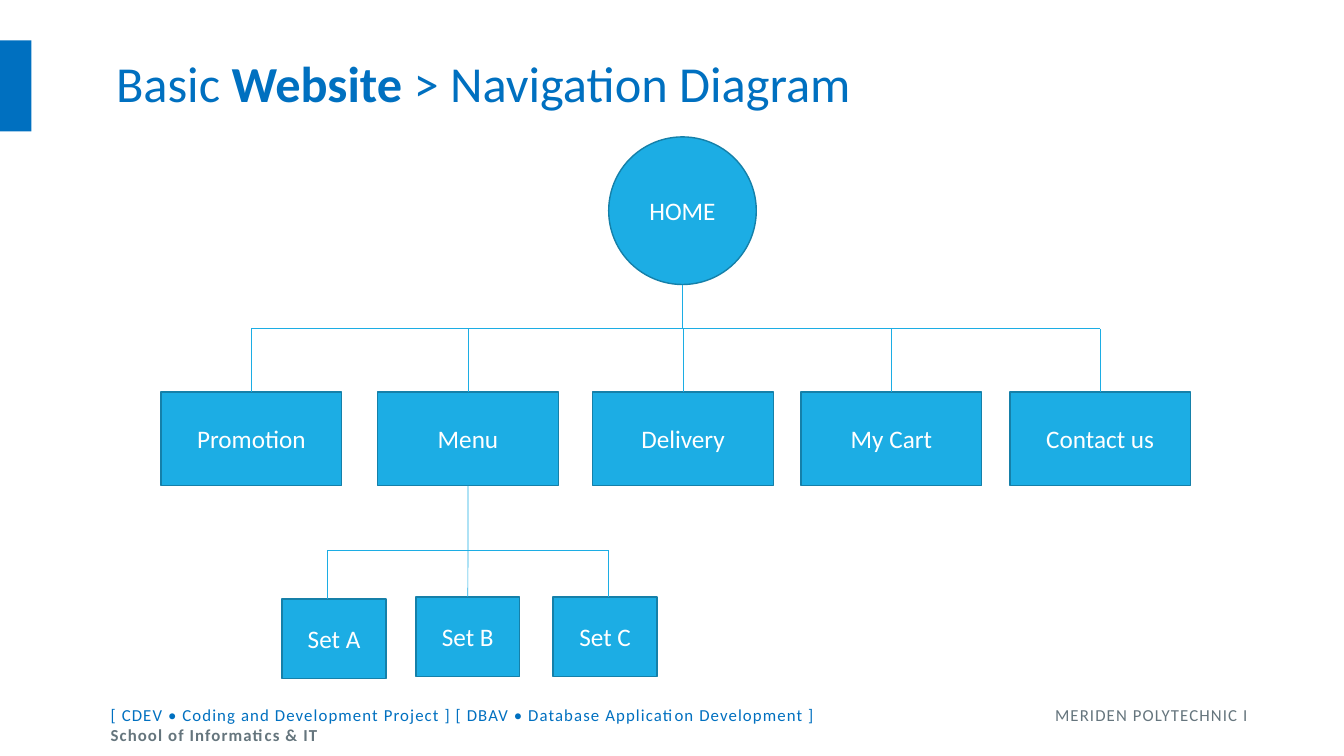
from lxml.etree import SubElement
from pptx import Presentation
from pptx.dml.color import RGBColor
from pptx.enum.shapes import MSO_CONNECTOR, MSO_SHAPE
from pptx.enum.text import MSO_ANCHOR, PP_ALIGN
from pptx.oxml.ns import qn
from pptx.util import Cm, Pt

COLORS = {
    "title": "0070C0",
    "node": "1CADE4",
    "border": "1580A9",
    "label": "FFFFFF",
    "footer": "65757D",
}


class Deck:
    font = "Calibri"

    def __init__(self):
        self.prs = Presentation()
        self.prs.slide_width = Cm(33.87)
        self.prs.slide_height = Cm(19.05)
        self.s = self.prs.slides.add_slide(self.prs.slide_layouts[5])

    def rgb(self, name):
        return RGBColor.from_string(COLORS[name])

    def style(self, r, size, color, bold=False):
        r.font.name = self.font
        r.font.size = Pt(size)
        r.font.bold = bold
        r.font.color.rgb = self.rgb(color)

    def title(self, parts, x, y, w, h):
        sp = self.s.shapes.title
        sp.left, sp.top, sp.width, sp.height = Cm(x), Cm(y), Cm(w), Cm(h)
        tf = sp.text_frame
        tf.word_wrap = True
        tf.vertical_anchor = MSO_ANCHOR.MIDDLE
        p = tf.paragraphs[0]
        p.alignment = PP_ALIGN.LEFT
        p.line_spacing = 0.9
        for text, bold in parts:
            r = p.add_run()
            r.text = text
            self.style(r, 36, "title", bold)

    def shape(self, x, y, w, h, fill, kind=MSO_SHAPE.RECTANGLE):
        sp = self.s.shapes.add_shape(kind, Cm(x), Cm(y), Cm(w), Cm(h))
        sp.shadow.inherit = False
        sp.fill.solid()
        sp.fill.fore_color.rgb = self.rgb(fill)
        sp.line.fill.background()
        return sp

    def node(self, text, x, y, w, h, kind=MSO_SHAPE.RECTANGLE):
        sp = self.shape(x, y, w, h, "node", kind)
        sp.line.color.rgb = self.rgb("border")
        sp.line.width = Pt(1)
        tf = sp.text_frame
        tf.text = text
        tf.vertical_anchor = MSO_ANCHOR.MIDDLE
        p = tf.paragraphs[0]
        p.alignment = PP_ALIGN.CENTER
        self.style(p.runs[0], 18, "label")
        return sp

    def line(self, x1, y1, x2, y2, start=None, end=None):
        c = self.s.shapes.add_connector(
            MSO_CONNECTOR.STRAIGHT, Cm(x1), Cm(y1), Cm(x2), Cm(y2))
        if start:
            c.begin_connect(start, 2)
        if end:
            c.end_connect(end, 0)
        c.line.color.rgb = self.rgb("node")
        c.line.width = Pt(0.5)
        SubElement(c._element.spPr, qn("a:effectLst"))

    def footer(self, lines, x, y, w, h, tab):
        tf = self.s.shapes.add_textbox(Cm(x), Cm(y), Cm(w), Cm(h)).text_frame
        tf.word_wrap = True
        for i, parts in enumerate(lines):
            p = tf.add_paragraph() if i else tf.paragraphs[0]
            tabs = SubElement(p._p.get_or_add_pPr(), qn("a:tabLst"))
            SubElement(tabs, qn("a:tab"), pos=str(Cm(tab)), algn="l")
            for text, color, bold in parts:
                r = p.add_run()
                r.text = text
                self.style(r, 12, color, bold)
                r._r.get_or_add_rPr().set("spc", "80")


def main():
    d = Deck()
    d.footer([
        [("[ CDEV • Coding and Development Project ] "
          "[ DBAV • Database Application Development ]\t", "title", False),
         ("MERIDEN POLYTECHNIC I", "footer", False)],
        [("School of Informatics & IT", "footer", True)],
    ], 2.54, 17.63, 29.54, 1.27, 23.8)
    d.shape(0, 1.02, 0.79, 2.29, "title")
    d.title([("Basic ", False), ("Website ", True),
             ("> Navigation Diagram", False)], 2.67, 1.02, 28.7, 2.29)

    page_y, page_w, page_h, page_bus = 9.88, 4.55, 2.36, 8.28
    page_lefts = {"Promotion": 4.06, "Menu": 9.52, "Delivery": 14.94,
                  "My Cart": 20.19, "Contact us": 25.45}
    pages = {}
    for text, x in page_lefts.items():
        pages[text] = d.node(text, x, page_y, page_w, page_h)
        mid = x + page_w / 2
        d.line(mid, page_bus, mid, page_y, end=pages[text])
    first, *_, last = [x + page_w / 2 for x in page_lefts.values()]
    d.line(first, page_bus, last, page_bus)

    home_x, home_y, home_d = 15.34, 3.45, 3.72
    d.node("HOME", home_x, home_y, home_d, home_d, MSO_SHAPE.OVAL)
    home_mid = home_x + home_d / 2
    d.line(home_mid, home_y + home_d, home_mid, page_bus)

    set_y, set_w, set_h, set_bus = 15.04, 2.62, 2.01, 13.87
    set_a_y, left_end, right_end = 15.09, 8.26, 15.32
    d.node("Set A", 7.11, set_a_y, set_w, set_h)
    set_b = d.node("Set B", 10.48, set_y, set_w, set_h)
    d.node("Set C", 13.94, set_y, set_w, set_h)
    menu_mid = page_lefts["Menu"] + page_w / 2
    d.line(menu_mid, page_y + page_h, menu_mid, set_y, pages["Menu"], set_b)
    d.line(left_end, set_bus, right_end, set_bus)
    for x, y in ((left_end, set_a_y), (right_end, set_y)):
        d.line(x, set_bus, x, y)

    d.prs.save("out.pptx")


if __name__ == "__main__":
    main()
